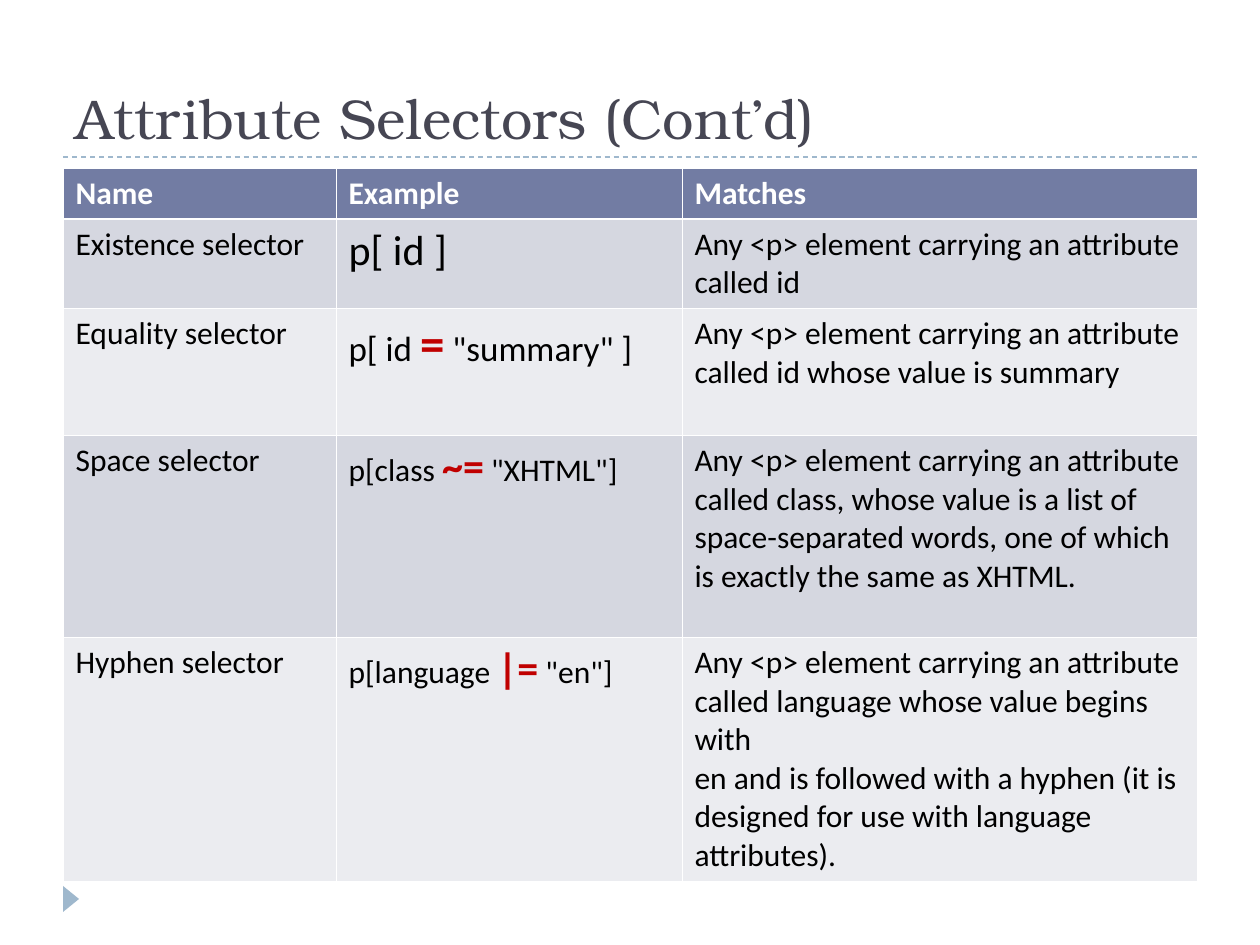
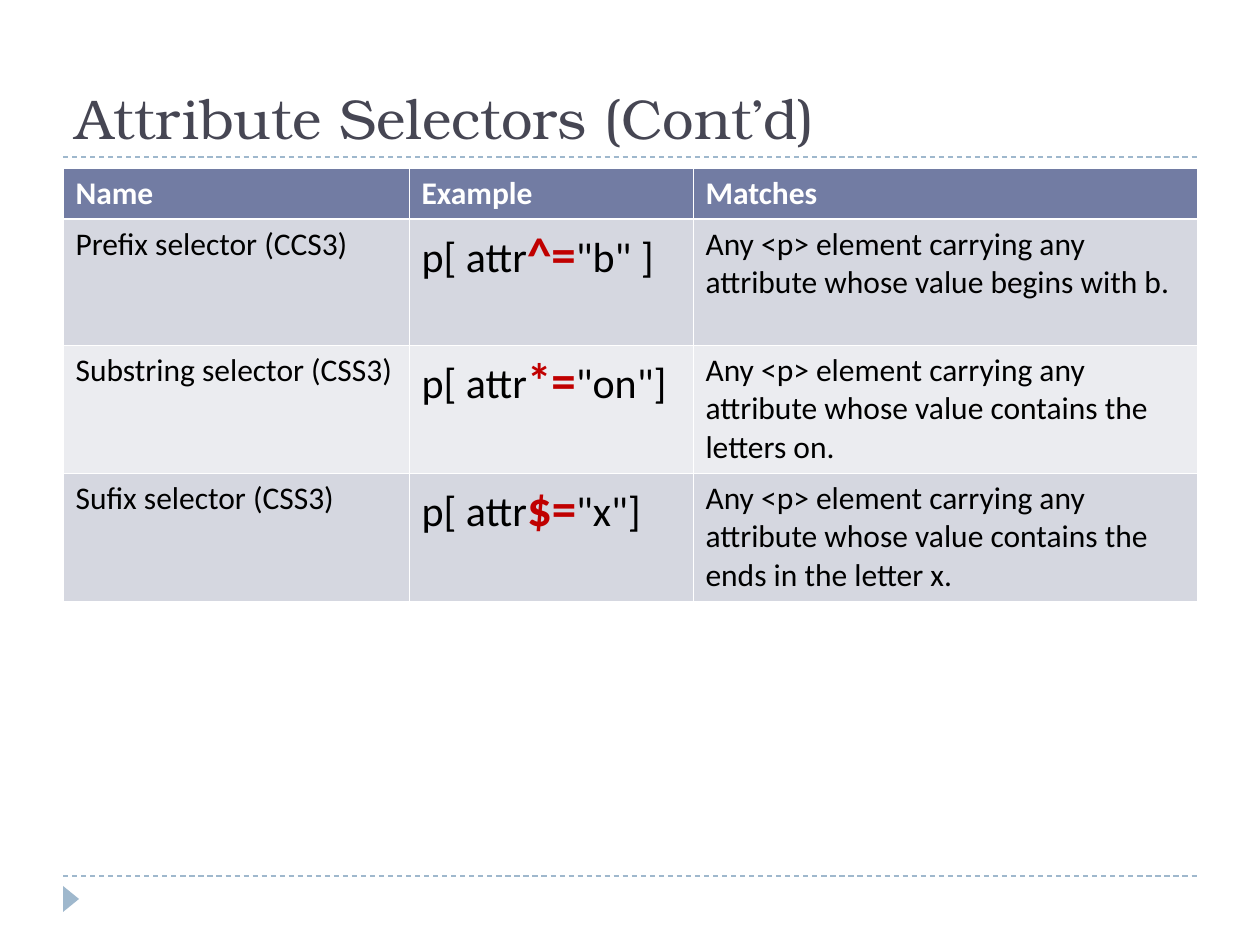
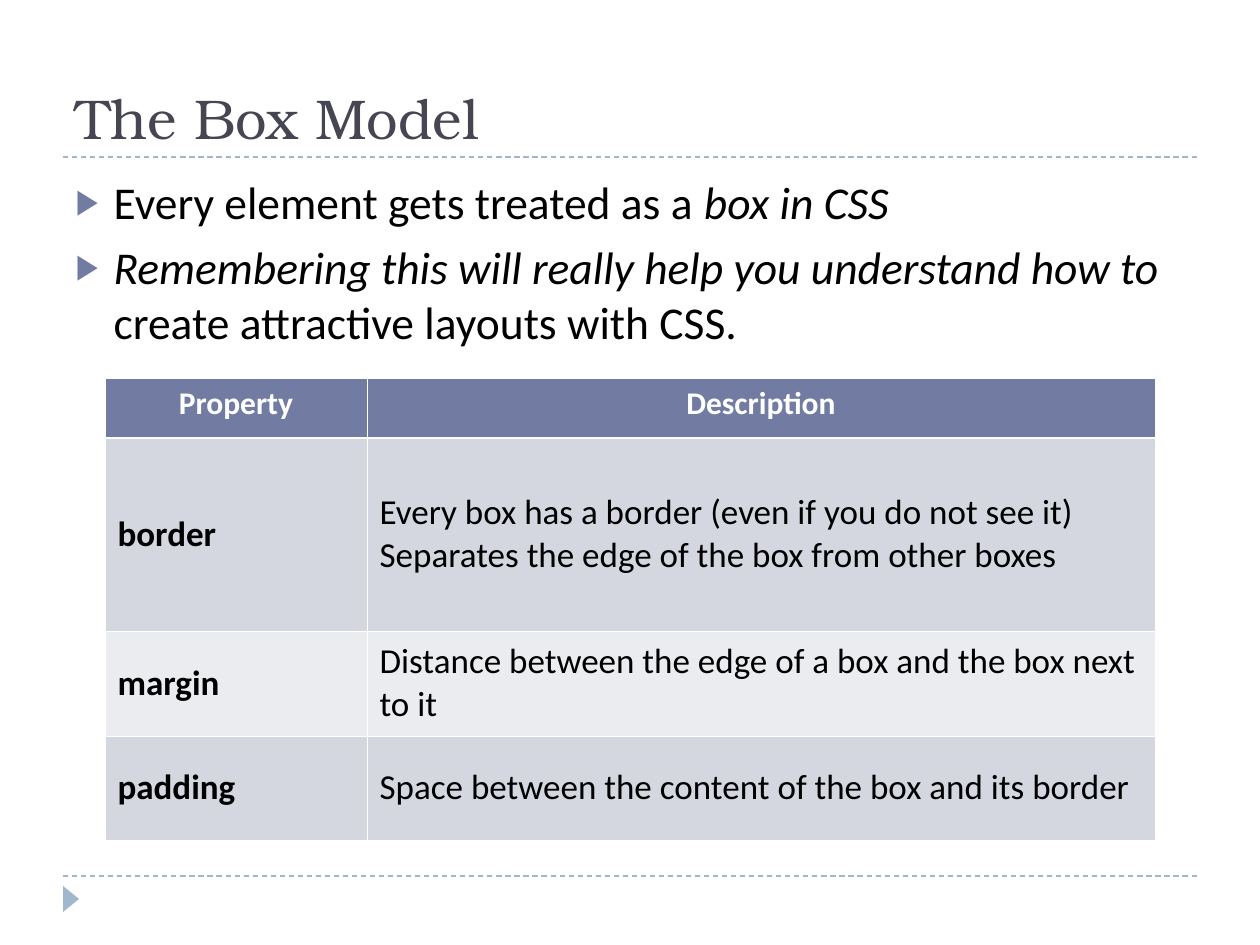
from dataclasses import dataclass

import lxml.etree
import pptx
import pptx.dml.color
import pptx.enum.dml
import pptx.enum.shapes
import pptx.enum.text
import pptx.oxml
import pptx.oxml.ns
import pptx.util


@dataclass(frozen=True)
class Theme:
    title_font: str = "TeX Gyre Bonum"
    body_font: str = "Calibri"
    title: str = "464653"
    text: str = "000000"
    paper: str = "FFFFFF"
    accent: str = "727CA3"
    rule: str = "9FB8CD"
    operator: str = "C00000"
    bands: tuple = ("D5D7E0", "EBECF0")
    title_size: int = 32
    list_size: int = 26
    table_size: int = 18
    property_size: int = 20
    thin: float = 0.45
    thick: float = 1.47


theme = Theme()
scale = pptx.util.Inches(1) / 126
qn = pptx.oxml.ns.qn
Align = pptx.enum.text.PP_ALIGN
Anchor = pptx.enum.text.MSO_ANCHOR


def px(*lengths):
    return [round(length * scale) for length in lengths]


def style(font, size, color, bold=False, name=theme.body_font):
    font.name = name
    font.size = pptx.util.Pt(size)
    font.bold = bold
    font.color.rgb = pptx.dml.color.RGBColor.from_string(color)


selector_header = ("Name", "Example", "Matches")
pages = [
    {
        "title": "Attribute Selectors (Cont’d)",
        "origin": (63, 168),
        "columns": (273, 346, 515),
        "heights": (51, 89, 127, 202, 243),
        "rows": [
            selector_header,
            ("Existence selector", (24, 24, "p[ id ]"),
             "Any <p> element carrying an attribute called id"),
            ("Equality selector", (20, 28, "p[ id ", "=", ' "summary" ]'),
             "Any <p> element carrying an attribute called id whose value is summary"),
            ("Space selector", (18, 24, "p[class ", "~=", ' "XHTML"]'),
             "Any <p> element carrying an attribute called class, whose value is a list of "
             "space-separated words, one of which is exactly the same as XHTML."),
            ("Hyphen selector", (18, 24, "p[language ", "|=", ' "en"]'),
             "Any <p> element carrying an attribute called language whose value begins with\n"
             "en and is followed with a hyphen (it is designed for use with language attributes)."),
        ],
    },
    {
        "title": "Attribute Selectors (Cont’d)",
        "origin": (63, 168),
        "columns": (346, 284, 504),
        "heights": (51, 126, 128, 128),
        "rows": [
            selector_header,
            ("Prefix selector (CCS3)", (24, 28, "p[ attr", "^=", '"b" ]'),
             "Any <p> element carrying any attribute whose value begins with b."),
            ("Substring selector (CSS3)", (24, 28, "p[ attr", "*=", '"on"]'),
             "Any <p> element carrying any attribute whose value contains the letters on."),
            ("Sufix selector (CSS3)", (24, 28, "p[ attr", "$=", '"x"]'),
             "Any <p> element carrying any attribute whose value contains the ends in the letter x."),
        ],
    },
    {
        "title": "The Box Model",
        "list": [
            (("Every element gets treated as a ", False), ("box in CSS", True)),
            (("Remembering this will really help you understand how to ", True),
             ("create attractive layouts with CSS.", False)),
        ],
        "origin": (105, 378),
        "columns": (262, 788),
        "heights": (60, 193, 105, 104),
        "rows": [
            ("Property", "Description"),
            ("border", "Every box has a border (even if you do not see it)\n"
             "Separates the edge of the box from other boxes"),
            ("margin", "Distance between the edge of a box and the box next to it"),
            ("padding", "Space between the content of the box and its border"),
        ],
    },
]

deck = pptx.Presentation()
deck.slide_width, deck.slide_height = px(1260, 945)

for content in pages:
    items = content.get("list", [])
    page = deck.slides.add_slide(deck.slide_layouts[1 if items else 5])

    title = page.shapes.title
    title.left, title.top, title.width, title.height = px(63, 21, 1134, 136)
    title.text_frame.text = content["title"]
    title.text_frame.vertical_anchor = Anchor.BOTTOM
    title.text_frame.auto_size = pptx.enum.text.MSO_AUTO_SIZE.NONE
    para = title.text_frame.paragraphs[0]
    para.alignment = Align.LEFT
    style(para.font, theme.title_size, theme.title, name=theme.title_font)

    if items:
        box = page.placeholders[1]
        box.left, box.top, box.width, box.height = px(63, 168, 1134, 680)
        frame = box.text_frame
        frame.auto_size = pptx.enum.text.MSO_AUTO_SIZE.NONE
        for index, item in enumerate(items):
            para = frame.add_paragraph() if index else frame.paragraphs[0]
            properties = para._p.get_or_add_pPr()
            indent = px(38)[0]
            properties.set("marL", str(indent))
            properties.set("indent", str(-indent))
            color = lxml.etree.SubElement(properties, qn("a:buClr"))
            lxml.etree.SubElement(color, qn("a:srgbClr"), val=theme.accent)
            lxml.etree.SubElement(properties, qn("a:buSzPct"), val="76000")
            lxml.etree.SubElement(properties, qn("a:buChar"), char="▶")
            para.space_before = pptx.util.Pt(6 if index else 0)
            style(para.font, theme.list_size, theme.text)
            for text, italic in item:
                span = para.add_run()
                span.text = text
                span.font.italic = italic

    for height in (876, 157):
        rule = page.shapes.add_connector(
            pptx.enum.shapes.MSO_CONNECTOR.STRAIGHT, *px(63, height, 1197, height))
        rule.line.color.rgb = pptx.dml.color.RGBColor.from_string(theme.rule)
        rule.line.width = pptx.util.Pt(0.75)
        rule.line.dash_style = pptx.enum.dml.MSO_LINE.DASH
        lxml.etree.SubElement(rule._element.spPr, qn("a:effectLst"))

    marker = page.shapes.add_shape(
        pptx.enum.shapes.MSO_SHAPE.ISOSCELES_TRIANGLE, *px(58, 891, 26, 16))
    marker.rotation = 90
    marker.shadow.inherit = False
    marker.fill.solid()
    marker.fill.fore_color.rgb = pptx.dml.color.RGBColor.from_string(theme.rule)
    marker.line.fill.background()

    rows, columns, heights = content["rows"], content["columns"], content["heights"]
    table = page.shapes.add_table(
        len(rows), len(columns), *px(*content["origin"], sum(columns), sum(heights))).table
    for column, width in zip(table.columns, px(*columns)):
        column.width = width
    for line, height in zip(table.rows, px(*heights)):
        line.height = height

    for row, values in enumerate(rows):
        for column, value in enumerate(values):
            cell = table.cell(row, column)
            header = row == 0
            for side in ("L", "R", "T", "B"):
                heavy = (row, side) in ((0, "B"), (1, "T"))
                width = pptx.util.Pt(theme.thick if heavy else theme.thin)
                border = lxml.etree.SubElement(
                    cell._tc.get_or_add_tcPr(), qn(f"a:ln{side}"), w=str(width))
                fill = lxml.etree.SubElement(border, qn("a:solidFill"))
                lxml.etree.SubElement(fill, qn("a:srgbClr"), val=theme.paper)
            cell.fill.solid()
            cell.fill.fore_color.rgb = pptx.dml.color.RGBColor.from_string(
                theme.accent if header else theme.bands[(row - 1) % 2])
            if items and not header:
                cell.vertical_anchor = Anchor.MIDDLE

            if isinstance(value, tuple):
                size, operator_size, *parts = value
                para = cell.text_frame.paragraphs[0]
                style(para.font, size, theme.text)
                for part, text in enumerate(parts):
                    span = para.add_run()
                    span.text = text
                    if part == 1:
                        style(span.font, operator_size, theme.operator, True)
                    else:
                        style(span.font, size, theme.text)
                continue

            cell.text_frame.text = value
            for para in cell.text_frame.paragraphs:
                para.alignment = Align.CENTER if items and header else Align.LEFT
                style(para.font,
                      theme.property_size if items and not header else theme.table_size,
                      theme.paper if header else theme.text,
                      header or bool(items) and column == 0)

deck.save("out.pptx")
